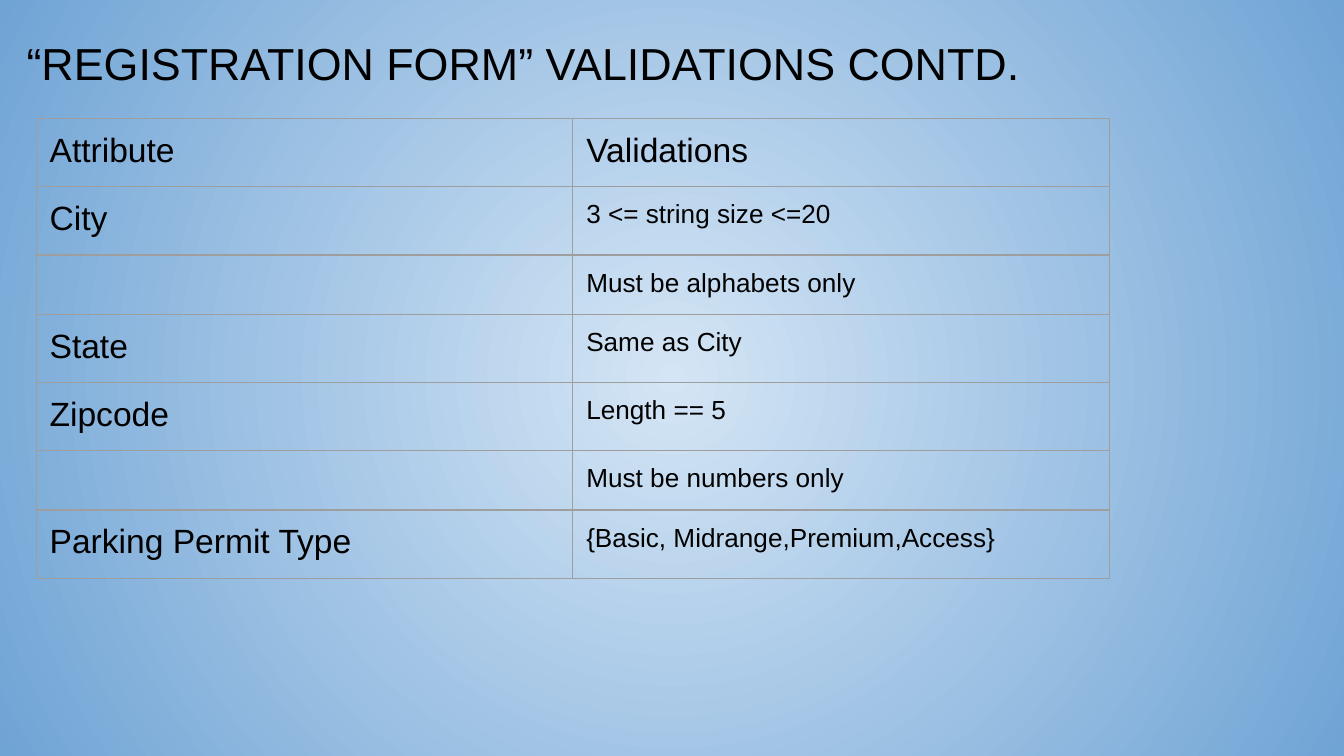
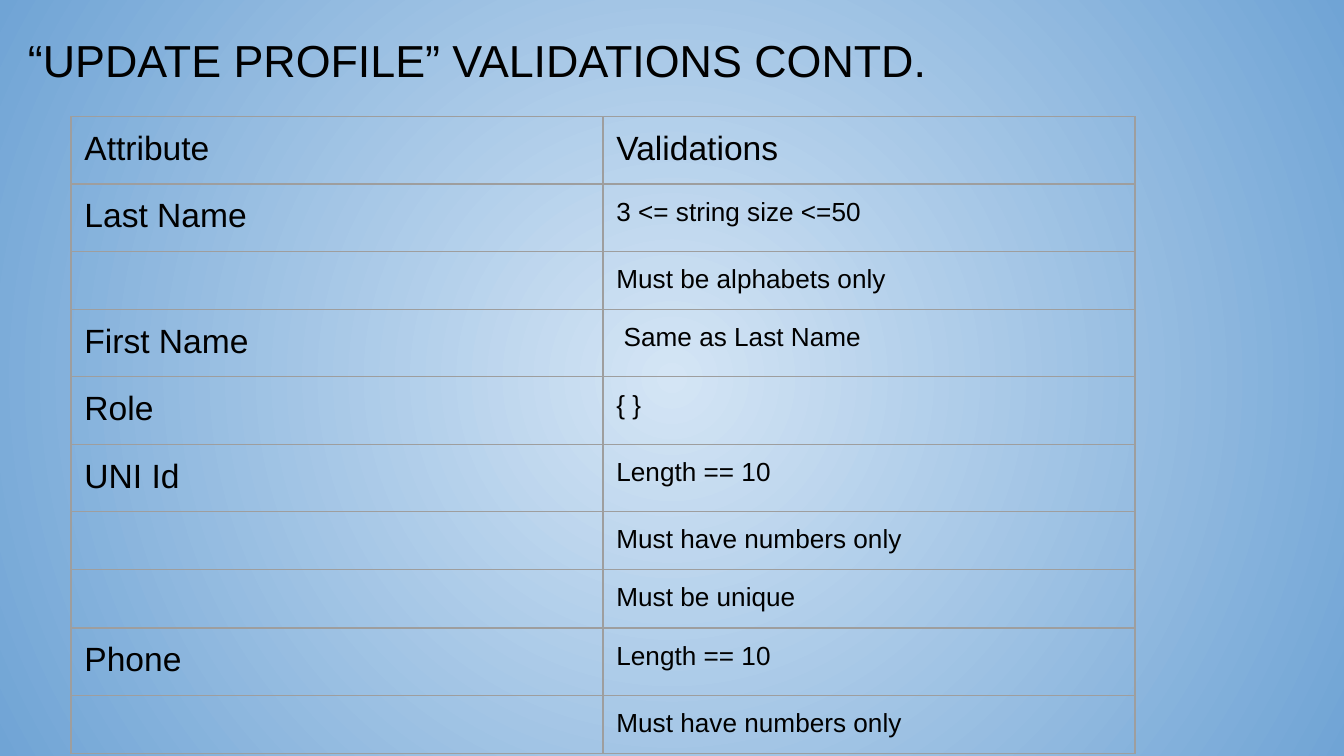
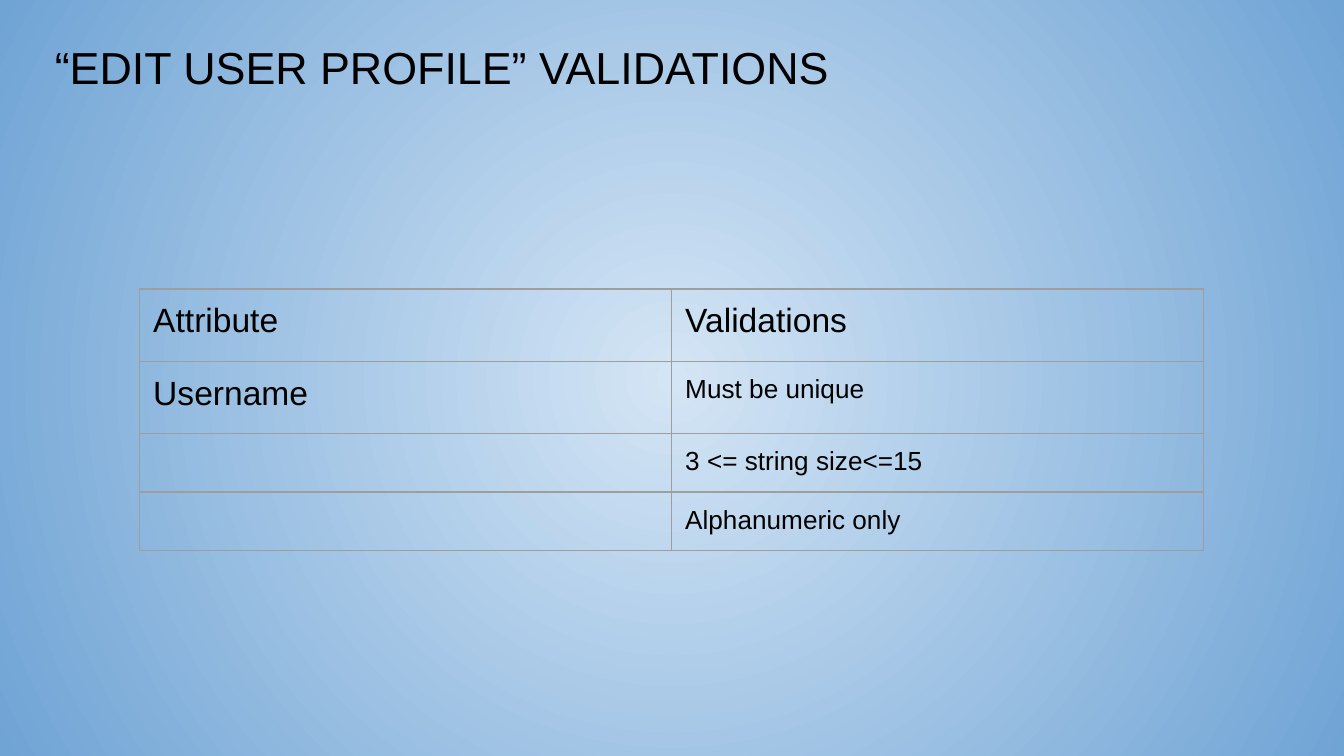
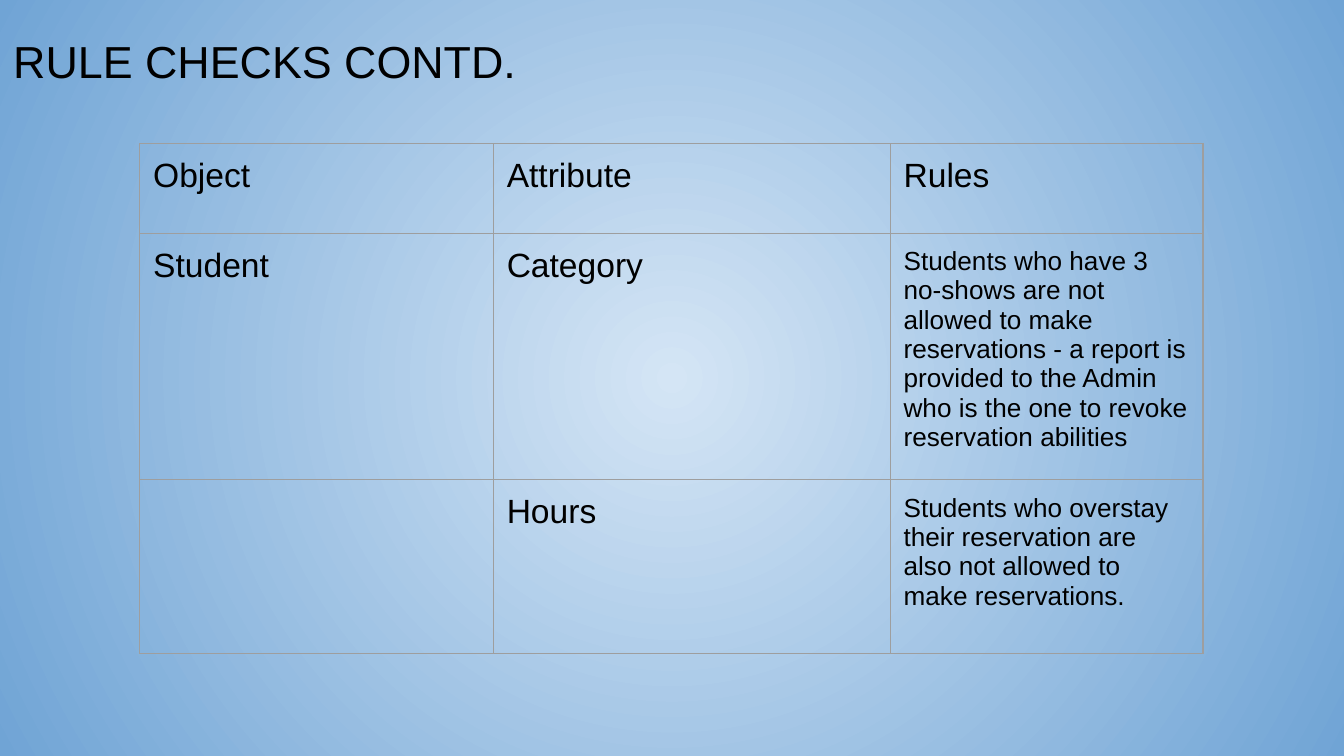
"""Build four slides of form validations and rule checks."""
from dataclasses import dataclass

from lxml import etree
from pptx import Presentation
from pptx import util as u
from pptx.dml import color
from pptx.enum import text
from pptx.oxml import ns

COLORS = {"ink": "000000", "grid": "9E9E9E", "glow": "D4E5F5", "edge": "70A4D5"}
INSET = u.Pt(7.2)
GRID_WIDTH = u.Pt(0.75)
FRAME = {"word_wrap": True, "vertical_anchor": text.MSO_ANCHOR.TOP,
         "margin_left": INSET, "margin_right": INSET,
         "margin_top": u.Pt(9.6), "margin_bottom": INSET}
CELL = {"vertical_anchor": text.MSO_ANCHOR.TOP,
        "margin_left": INSET, "margin_right": INSET,
        "margin_top": INSET, "margin_bottom": INSET}
TITLE = {"name": "Arial", "size": u.Pt(24)}
LABEL = {"name": "Arial", "size": u.Pt(18)}
RULE = {"name": "Arial", "size": u.Pt(14)}


@dataclass(frozen=True)
class Heading:
    wording: str
    left: float
    top: float
    width: float
    height: float


@dataclass(frozen=True)
class Grid:
    left: float
    top: float
    columns: tuple[float, ...]
    heights: tuple[float, ...]
    rows: tuple[tuple[str, ...], ...]


@dataclass(frozen=True)
class Page:
    heading: Heading
    grid: Grid


def validations(left: float, top: float, column: float, tall: float, short: float,
                *checks: tuple[str, str]) -> Grid:
    """Return a two-column grid whose unlabelled rows are short."""
    rows = (("Attribute", "Validations"), *checks)
    heights = tuple(tall if attribute else short for attribute, _ in rows)
    return Grid(left, top, (column, column), heights, rows)


PAGES = (
    Page(
        Heading("“REGISTRATION FORM” VALIDATIONS CONTD.", 7.2, 9.4, 693.4, 48.2),
        validations(
            19.4, 63.4, 287.5, 36.6, 31.7,
            ("City", "3 <= string size <=20"),
            ("", "Must be alphabets only"),
            ("State", "Same as City"),
            ("Zipcode", "Length == 5"),
            ("", "Must be numbers only"),
            ("Parking Permit Type", "{Basic, Midrange,Premium,Access}"))),
    Page(
        Heading("“UPDATE PROFILE” VALIDATIONS CONTD.", 7.9, 7.9, 686.9, 36.7),
        validations(
            38, 62.6, 285, 34.5, 30.1,
            ("Last Name", "3 <= string size <=50"),
            ("", "Must be alphabets only"),
            ("First Name", " Same as Last Name"),
            ("Role", "{ }"),
            ("UNI Id", "Length == 10"),
            ("", "Must have numbers only"),
            ("", "Must be unique"),
            ("Phone", "Length == 10"),
            ("", "Must have numbers only"))),
    Page(
        Heading("“EDIT USER PROFILE” VALIDATIONS", 22.3, 11.5, 676.8, 48.2),
        validations(
            74.9, 154.8, 285, 38.8, 30.1,
            ("Username", "Must be unique"),
            ("", "3 <= string size<=15"),
            ("", "Alphanumeric only"))),
    Page(
        Heading("RULE CHECKS CONTD.", 0, 8.6, 611.3, 74.9),
        Grid(74.9, 77, (189.4, 212.6, 167.6), (48, 124.2, 93.2), (
            ("Object", "Attribute", "Rules"),
            ("Student", "Category",
             "Students who have 3 no-shows are not allowed to make reservations - "
             "a report is provided to the Admin who is the one to revoke "
             "reservation abilities"),
            ("", "Hours",
             "Students who overstay their reservation are also not allowed to "
             "make reservations.")))),
)


def rgb(name: str) -> color.RGBColor:
    """Return a named colour."""
    return color.RGBColor.from_string(COLORS[name])


def apply(target: object, values: dict) -> None:
    """Set each format value on the target."""
    for attribute, value in values.items():
        setattr(target, attribute, value)


def write(paragraph, wording: str, style: dict) -> None:
    """Write one styled run, or size the line of an empty cell."""
    if not wording:
        size = str(int(style["size"].pt * 100))
        etree.SubElement(paragraph._p, ns.qn("a:endParaRPr"), sz=size)
        return
    run = paragraph.add_run()
    run.text = wording
    apply(run.font, style)
    run.font.color.rgb = rgb("ink")


def paint_background(master) -> None:
    """Give all slides a glow that spreads from the centre."""
    fill = master.background.fill
    fill.gradient()
    for stop, name in zip(fill.gradient_stops, ("glow", "edge")):
        stop.color.rgb = rgb(name)
    gradient = master.element.find(".//" + ns.qn("a:gradFill"))
    linear = gradient.find(ns.qn("a:lin"))
    circle = etree.Element(ns.qn("a:path"), path="circle")
    etree.SubElement(circle, ns.qn("a:fillToRect"),
                     {side: "50000" for side in "ltrb"})
    gradient.replace(linear, circle)


def outline(cell) -> None:
    """Draw the four borders of a cell and leave it unfilled."""
    properties = cell._tc.get_or_add_tcPr()
    for side in ("lnL", "lnR", "lnT", "lnB"):
        border = etree.SubElement(properties, ns.qn(f"a:{side}"), w=str(GRID_WIDTH))
        solid = etree.SubElement(border, ns.qn("a:solidFill"))
        etree.SubElement(solid, ns.qn("a:srgbClr"), val=COLORS["grid"])
    cell.fill.background()


def draw_heading(slide, heading: Heading) -> None:
    """Draw the title of a slide."""
    frame = slide.shapes.add_textbox(
        u.Pt(heading.left), u.Pt(heading.top),
        u.Pt(heading.width), u.Pt(heading.height)).text_frame
    apply(frame, FRAME)
    write(frame.paragraphs[0], heading.wording, TITLE)


def draw_grid(slide, grid: Grid) -> None:
    """Draw a table with large labels and a smaller last column."""
    table = slide.shapes.add_table(
        len(grid.rows), len(grid.columns), u.Pt(grid.left), u.Pt(grid.top),
        u.Pt(sum(grid.columns)), u.Pt(sum(grid.heights))).table
    apply(table, {"first_row": False, "horz_banding": False})
    for column, width in zip(table.columns, grid.columns):
        column.width = u.Pt(width)
    for row, height in zip(table.rows, grid.heights):
        row.height = u.Pt(height)
    last = len(grid.columns) - 1
    for r, wordings in enumerate(grid.rows):
        for c, wording in enumerate(wordings):
            cell = table.cell(r, c)
            apply(cell, CELL)
            outline(cell)
            is_label = wording and (r == 0 or c < last)
            write(cell.text_frame.paragraphs[0], wording, LABEL if is_label else RULE)


def main() -> None:
    """Build and save the slides."""
    deck = Presentation()
    apply(deck, {"slide_width": u.Pt(720), "slide_height": u.Pt(405)})
    paint_background(deck.slide_master)
    for page in PAGES:
        slide = deck.slides.add_slide(deck.slide_layouts[6])
        draw_heading(slide, page.heading)
        draw_grid(slide, page.grid)
    deck.save("out.pptx")


if __name__ == "__main__":
    main()
